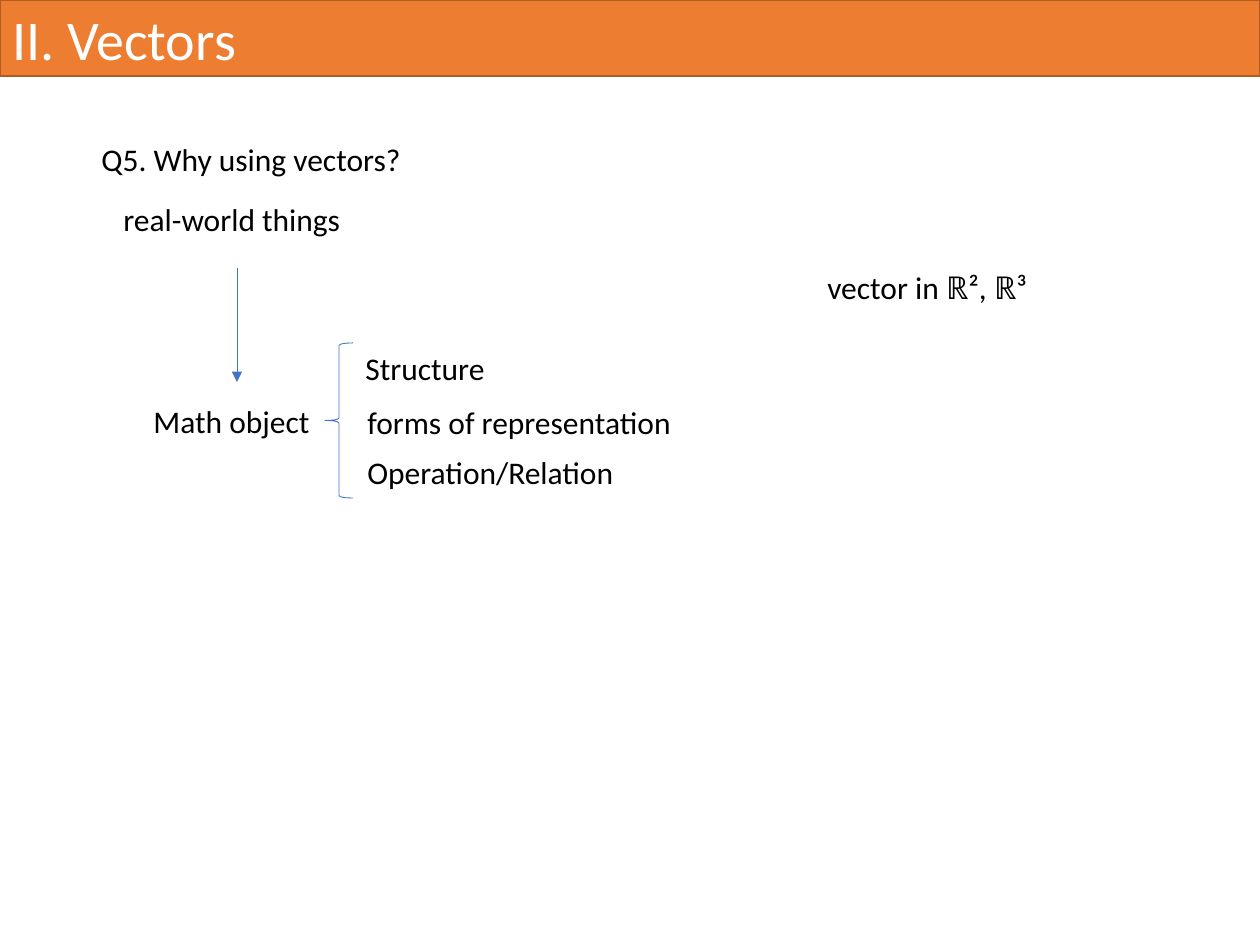
from lxml import etree
from pptx import Presentation
from pptx import util as u
from pptx.dml.color import RGBColor
from pptx.enum import shapes, text
from pptx.oxml.ns import qn

TITLE = "II. Vectors"
LABELS = [
    ("Q5. Why using vectors?", 89, 134, 335),
    ("real-world things", 111, 194, 244),
    ("Math object", 141, 396, 183),
    ("Structure", 353, 343, 146),
    ("forms of representation", 355, 397, 333),
    ("Operation/Relation", 355, 447, 275),
    ("vector in ℝ², ℝ³", 815, 262, 229),
]
BANNER = (0, 0, 1260, 76)
BRACE = (325, 343, 28, 155)
ARROW = (237, 268, 237, 382)
LABEL_H = 50
COLORS = {"banner": "ED7D31", "edge": "AF5C24", "line": "4472C4",
          "title": "FFFFFF", "text": "000000"}


def px(n):
    return u.Emu(n * 914400 // 126)


def color(name):
    return RGBColor.from_string(COLORS[name])


def write(sp, words, size=18, fill="text", anchor=text.MSO_ANCHOR.TOP, wrap=False):
    tf = sp.text_frame
    tf.word_wrap = wrap
    tf.vertical_anchor = anchor
    p = tf.paragraphs[0]
    p.alignment = text.PP_ALIGN.LEFT
    r = p.add_run()
    r.text = words
    r.font.name = "Calibri"
    r.font.size = u.Pt(size)
    r.font.color.rgb = color(fill)


def outline(sp, name, width):
    sp.line.color.rgb = color(name)
    sp.line.width = u.Pt(width)


def add_shape(s, kind, box):
    sp = s.shapes.add_shape(kind, *map(px, box))
    sp.shadow.inherit = False
    return sp


def main():
    prs = Presentation()
    prs.slide_width, prs.slide_height = px(1260), px(945)
    s = prs.slides.add_slide(prs.slide_layouts[6])

    banner = add_shape(s, shapes.MSO_SHAPE.RECTANGLE, BANNER)
    banner.fill.solid()
    banner.fill.fore_color.rgb = color("banner")
    outline(banner, "edge", 1)
    write(banner, TITLE, size=32, fill="title", anchor=text.MSO_ANCHOR.MIDDLE, wrap=True)

    for words, x, y, w in LABELS:
        write(s.shapes.add_textbox(px(x), px(y), px(w), px(LABEL_H)), words)

    brace = add_shape(s, shapes.MSO_SHAPE.LEFT_BRACE, BRACE)
    brace.fill.background()
    outline(brace, "line", 0.5)

    arrow = s.shapes.add_connector(shapes.MSO_CONNECTOR.STRAIGHT, *map(px, ARROW))
    outline(arrow, "line", 0.5)
    etree.SubElement(arrow.line._get_or_add_ln(), qn("a:tailEnd"), type="triangle")
    etree.SubElement(arrow._element.spPr, qn("a:effectLst"))

    prs.save("out.pptx")


if __name__ == "__main__":
    main()
